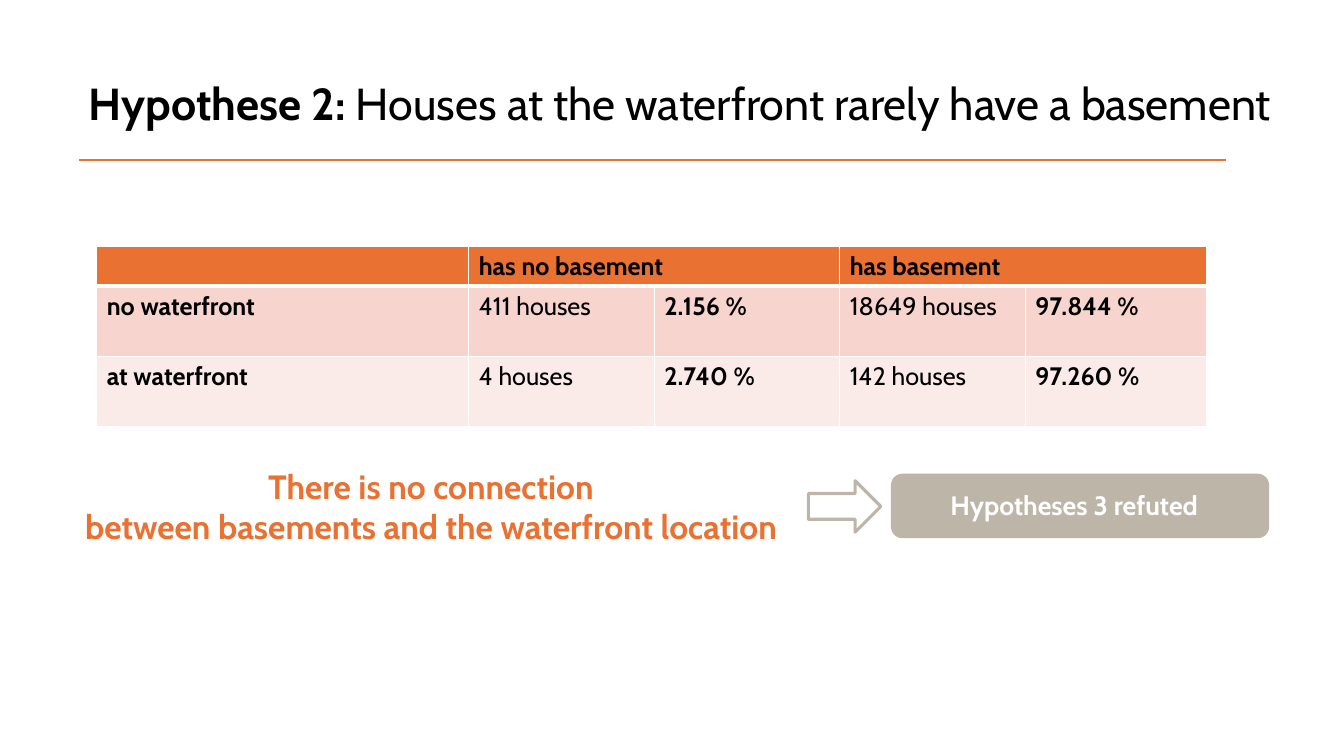
from lxml.etree import SubElement
from pptx import Presentation
from pptx.dml.color import RGBColor
from pptx.enum.shapes import MSO_CONNECTOR, MSO_SHAPE
from pptx.enum.text import MSO_ANCHOR, MSO_AUTO_SIZE, PP_ALIGN
from pptx.oxml.ns import qn
from pptx.util import Pt

# Content
TITLE = [("Hypothese 2: ", True), ("Houses at the waterfront rarely have a basement", False)]
HEADER = {1: "has no basement", 3: "has basement"}
ROWS = [
    ["no waterfront", "411 houses", "2.156 %", "18649 houses", "97.844 %"],
    ["at waterfront", "4 houses", "2.740 %", "142 houses", "97.260 %"],
]
BOLD_COLUMNS = (0, 2, 4)
CONCLUSION = ["There is no connection", "between basements and the waterfront location"]
VERDICT = "Hypotheses 3 refuted"

# Theme
THEME = {
    "font": "Cabin",
    "black": "000000", "white": "FFFFFF", "orange": "E97132", "taupe": "BCB5A8",
    "bands": ["F7D5CE", "FBEBE8"],
    "title": 32, "table": 18, "conclusion": 24, "verdict": 19,
}

# Layout in points: left, top, width, height
TITLE_BOX = (56.2, 21.6, 884.2, 142.6)
RULE_LEFT, RULE_RIGHT, RULE_TOP = 56.2, 875.5, 114.5
TABLE_LEFT, TABLE_TOP = 69.1, 175.7
COLUMN_WIDTHS = [265.7, 132.5, 132.5, 132.5, 129.6]
ROW_HEIGHTS = [28.1, 50.2, 50.2]
CONCLUSION_BOX = (33.1, 329, 549.4, 65.4)
ARROW_BOX = (577.4, 343.4, 51.8, 36.7)
BADGE_BOX = (637.2, 339.1, 268.6, 44.6)
VERDICT_BOX = (671.8, 345.6, 245.5, 30.2)


def points(box):
    return [Pt(value) for value in box]


def color(name):
    return RGBColor.from_string(THEME.get(name, name))


def add_run(paragraph, text, size, color_name, bold=True):
    run = paragraph.add_run()
    run.text = text
    font = run.font
    font.name, font.size, font.bold = THEME["font"], Pt(THEME[size]), bold
    font.color.rgb = color(color_name)


def add_text_box(slide, box):
    frame = slide.shapes.add_textbox(*points(box)).text_frame
    frame.word_wrap = True
    return frame.paragraphs[0]


def add_plain_shape(slide, kind, box, line_width, fill=None):
    shape = slide.shapes.add_shape(kind, *points(box))
    shape.shadow.inherit = False
    if fill:
        shape.fill.solid()
        shape.fill.fore_color.rgb = color(fill)
    else:
        shape.fill.background()
    shape.line.color.rgb = color("taupe")
    shape.line.width = Pt(line_width)


def style_cell(cell, fill, top, bottom):
    properties = cell._tc.get_or_add_tcPr()
    for side, width in (("L", 1), ("R", 1), ("T", top), ("B", bottom)):
        border = SubElement(properties, qn(f"a:ln{side}"), w=str(Pt(width)))
        solid = SubElement(border, qn("a:solidFill"))
        SubElement(solid, qn("a:srgbClr"), val=THEME["white"])
    cell.fill.solid()
    cell.fill.fore_color.rgb = color(fill)


def add_title(slide):
    title = slide.shapes.title
    title.left, title.top, title.width, title.height = points(TITLE_BOX)
    frame = title.text_frame
    frame.auto_size = MSO_AUTO_SIZE.NONE
    frame.vertical_anchor = MSO_ANCHOR.MIDDLE
    frame.margin_bottom = Pt(3.6 + 35)
    paragraph = frame.paragraphs[0]
    paragraph.alignment = PP_ALIGN.LEFT
    paragraph.line_spacing = 0.9
    for text, bold in TITLE:
        add_run(paragraph, text, "title", "black", bold)


def add_rule(slide):
    rule = slide.shapes.add_connector(
        MSO_CONNECTOR.STRAIGHT, *points((RULE_LEFT, RULE_TOP, RULE_RIGHT, RULE_TOP)))
    rule.line.color.rgb = color("orange")
    rule.line.width = Pt(1.5)
    SubElement(rule._element.spPr, qn("a:effectLst"))


def add_house_table(slide):
    box = (TABLE_LEFT, TABLE_TOP, sum(COLUMN_WIDTHS), sum(ROW_HEIGHTS))
    table = slide.shapes.add_table(
        len(ROW_HEIGHTS), len(COLUMN_WIDTHS), *points(box)).table
    for column, width in zip(table.columns, COLUMN_WIDTHS):
        column.width = Pt(width)
    for row, height in zip(table.rows, ROW_HEIGHTS):
        row.height = Pt(height)

    # Header row, each heading over two columns
    for index in range(len(COLUMN_WIDTHS)):
        style_cell(table.cell(0, index), "orange", 1, 3)
    for index, text in HEADER.items():
        cell = table.cell(0, index)
        cell.merge(table.cell(0, index + 1))
        add_run(cell.text_frame.paragraphs[0], text, "table", "black")

    # Data rows
    for row_index, (values, band) in enumerate(zip(ROWS, THEME["bands"]), 1):
        for index, text in enumerate(values):
            cell = table.cell(row_index, index)
            style_cell(cell, band, 3 if row_index == 1 else 1, 1)
            add_run(cell.text_frame.paragraphs[0], text, "table", "black",
                    index in BOLD_COLUMNS)


def add_conclusion(slide):
    paragraph = add_text_box(slide, CONCLUSION_BOX)
    paragraph.alignment = PP_ALIGN.CENTER
    for index, text in enumerate(CONCLUSION):
        if index:
            paragraph.add_line_break()
        add_run(paragraph, text, "conclusion", "orange")


def main():
    presentation = Presentation()
    presentation.slide_width, presentation.slide_height = Pt(960), Pt(540)
    slide = presentation.slides.add_slide(presentation.slide_layouts[5])
    add_title(slide)
    add_rule(slide)

    # Verdict badge
    add_plain_shape(slide, MSO_SHAPE.ROUNDED_RECTANGLE, BADGE_BOX, 1.5, "taupe")
    add_run(add_text_box(slide, VERDICT_BOX), VERDICT, "verdict", "white")

    add_house_table(slide)
    add_conclusion(slide)
    add_plain_shape(slide, MSO_SHAPE.RIGHT_ARROW, ARROW_BOX, 2.25)
    presentation.save("out.pptx")


if __name__ == "__main__":
    main()
